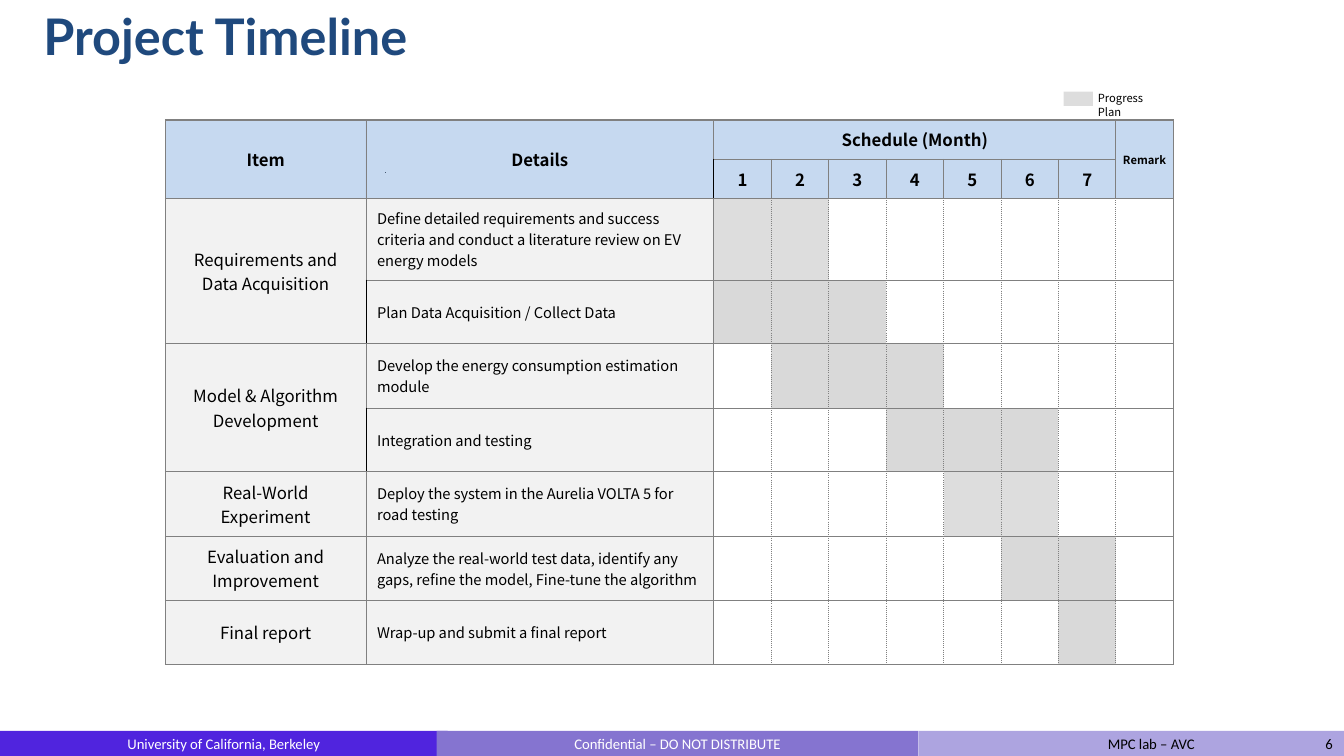
from lxml.etree import SubElement
from pptx import Presentation
from pptx.dml.color import RGBColor
from pptx.enum.shapes import MSO_CONNECTOR, MSO_SHAPE
from pptx.enum.text import MSO_ANCHOR, MSO_AUTO_SIZE, PP_ALIGN
from pptx.oxml.ns import qn
from pptx.util import Inches, Pt

COLORS = {
    "title": "1F497D", "black": "000000", "white": "FFFFFF", "grid": "808080",
    "header": "8EB4E3", "label": "F2F2F2", "light": "DDDDDD", "bar": "D9D9D9",
    "left": "5024DE", "middle": "8574D0", "right": "ADA4E0",
}
TABLE_FONT = "Noto Sans CJK KR"


def color(name):
    return RGBColor.from_string(COLORS[name])


def write(frame, text, font=TABLE_FONT, size=12, ink="black", bold=False,
          align=PP_ALIGN.CENTER, tabs=()):
    paragraph = frame.paragraphs[0]
    paragraph.text = text
    paragraph.alignment = align
    if tabs:
        tab_list = SubElement(paragraph._p.get_or_add_pPr(), qn("a:tabLst"))
        for position, kind in tabs:
            SubElement(tab_list, qn("a:tab"), pos=str(Inches(position)), algn=kind)
    for run in paragraph.runs:
        run.font.name = font
        run.font.size = Pt(size)
        run.font.bold = bold
        run.font.color.rgb = color(ink)


presentation = Presentation()
presentation.slide_width = Inches(13.33)
presentation.slide_height = Inches(7.5)
slide = presentation.slides.add_slide(presentation.slide_layouts[5])

# Title
title = slide.shapes.title
title.left, title.top, title.width, title.height = map(Inches, (0.33, 0, 12, 0.71))
title.text_frame.vertical_anchor = MSO_ANCHOR.TOP
title.text_frame.auto_size = MSO_AUTO_SIZE.NONE
write(title.text_frame, "Project Timeline", font="Lato", size=36, ink="title",
      bold=True, align=PP_ALIGN.LEFT)

# Footer bands and legend swatch
rectangles = [
    (0, 7.25, 4.44, 0.25, "left", "University of California, Berkeley", "white", ()),
    (4.33, 7.25, 4.78, 0.25, "middle", "Confidential – DO NOT DISTRIBUTE", "white", ()),
    (9.11, 7.25, 4.22, 0.25, "right", "\tMPC lab – AVC\t6", "black",
     ((2.21, "ctr"), (4.01, "r"))),
    (10.55, 0.91, 0.29, 0.14, "light", "", "black", ()),
]
for left, top, width, height, fill, text, ink, tabs in rectangles:
    shape = slide.shapes.add_shape(MSO_SHAPE.RECTANGLE, *map(Inches, (left, top, width, height)))
    shape.shadow.inherit = False
    shape.fill.solid()
    shape.fill.fore_color.rgb = color(fill)
    shape.line.fill.background()
    if text:
        shape.text_frame.vertical_anchor = MSO_ANCHOR.MIDDLE
        write(shape.text_frame, text, font="Calibri", size=10.5, ink=ink, tabs=tabs,
              align=PP_ALIGN.LEFT if tabs else PP_ALIGN.CENTER)

# Legend label
legend = slide.shapes.add_textbox(*map(Inches, (10.79, 0.86, 0.9, 0.24)))
legend.text_frame.word_wrap = True
write(legend.text_frame, "Progress Plan", size=8, align=PP_ALIGN.LEFT)

# Small dot under the Details heading
dot = slide.shapes.add_connector(MSO_CONNECTOR.STRAIGHT, *map(Inches, (3.82, 1.71, 3.83, 1.71)))
dot.line.color.rgb = color("black")
dot.line.width = Pt(1)
SubElement(dot._element.spPr, qn("a:effectLst"))

# Schedule rows: item, details, first month, last month, bar colour
tasks = [
    ("Requirements and Data Acquisition",
     "Define detailed requirements and success criteria and conduct a literature "
     "review on EV energy models", 1, 2, "light"),
    ("", "Plan Data Acquisition / Collect Data", 1, 3, "bar"),
    ("Model & Algorithm Development",
     "Develop the energy consumption estimation module", 2, 4, "bar"),
    ("", "Integration and testing", 4, 6, "bar"),
    ("Real-World Experiment",
     "Deploy the system in the Aurelia VOLTA 5 for road testing", 5, 6, "light"),
    ("Evaluation and Improvement",
     "Analyze the real-world test data, identify any gaps, refine the model, "
     "Fine-tune the algorithm", 6, 7, "bar"),
    ("Final report", "Wrap-up and submit a final report", 7, 7, "bar"),
]
column_widths = [1.99, 3.45] + [0.57] * 8
row_heights = [0.39] * 2 + [0.81] + [0.63, 0.64] * 2 + [0.64, 0.63]
row_count, column_count = len(row_heights), len(column_widths)
graphic = slide.shapes.add_table(row_count, column_count, *map(Inches, (1.64, 1.19, 9.99, 5.41)))
table = graphic.table
table.first_row = table.horz_banding = False
table._tbl.tblPr.find(qn("a:tableStyleId")).text = "{2D5ABB26-0587-4C30-8999-92F81FD0307C}"
for column, width in zip(table.columns, column_widths):
    column.width = Inches(width)
for row, height in zip(table.rows, row_heights):
    row.height = Inches(height)

# Merged cells: top, left, bottom, right
merges = [(0, 0, 1, 0), (0, 1, 1, 1), (0, 2, 0, 8), (0, 9, 1, 9), (2, 0, 3, 0), (4, 0, 5, 0)]
for top, left, bottom, right in merges:
    table.cell(top, left).merge(table.cell(bottom, right))

# Cell contents
texts = {(0, 0): "Item", (0, 1): "Details", (0, 2): "Schedule (Month)", (0, 9): "Remark"}
for month in range(1, 8):
    texts[1, month + 1] = str(month)
for row, (item, details, *_) in enumerate(tasks, start=2):
    texts[row, 0], texts[row, 1] = item, details

# Cell format and borders
for row in range(row_count):
    for column in range(column_count):
        cell = table.cell(row, column)
        header = row < 2
        cell.vertical_anchor = MSO_ANCHOR.MIDDLE
        side_margin = 0 if header and column == 9 else 0.11
        cell.margin_left = cell.margin_right = Inches(side_margin)
        if texts.get((row, column)):
            details = not header and column == 1
            write(cell.text_frame, texts[row, column], bold=header,
                  size=8 if side_margin == 0 else 10.5 if details else 12,
                  align=PP_ALIGN.LEFT if details else PP_ALIGN.CENTER)

        # The block of merged cells that this cell belongs to
        block = next((area for area in merges if area[0] <= row <= area[2]
                      and area[1] <= column <= area[3]), (row, column, row, column))
        vertical = [("a:lnL", column, column == block[1]),
                    ("a:lnR", column + 1, column == block[3])]
        horizontal = [("a:lnT", row, row == block[0]), ("a:lnB", row + 1, row == block[2])]
        properties = cell._tc.get_or_add_tcPr()
        for tag, edge, outer in vertical + horizontal:
            if not outer:
                continue
            upright = tag in ("a:lnL", "a:lnR")
            rim = edge in (0, column_count if upright else row_count)
            dotted = upright and not header and 2 < edge < column_count
            dark = upright and (row, edge) in [(1, 2), (3, 1), (5, 1)]
            line = SubElement(properties, qn(tag), w=str(Pt(1 if rim else 0.75)))
            ink = SubElement(SubElement(line, qn("a:solidFill")), qn("a:srgbClr"))
            ink.set("val", COLORS["black" if dark else "grid"])
            SubElement(line, qn("a:prstDash"), val="sysDot" if dotted else "solid")

        # Cell fill, half transparent in the header
        if header:
            fill = "header"
        elif column < 2:
            fill = "label"
        else:
            first, last, bar = tasks[row - 2][2:]
            fill = bar if first <= column - 1 <= last else "white"
        cell.fill.solid()
        cell.fill.fore_color.rgb = color(fill)
        if header:
            fill_color = properties.find(qn("a:solidFill"))[0]
            SubElement(fill_color, qn("a:alpha"), val="50000")

presentation.save("out.pptx")
